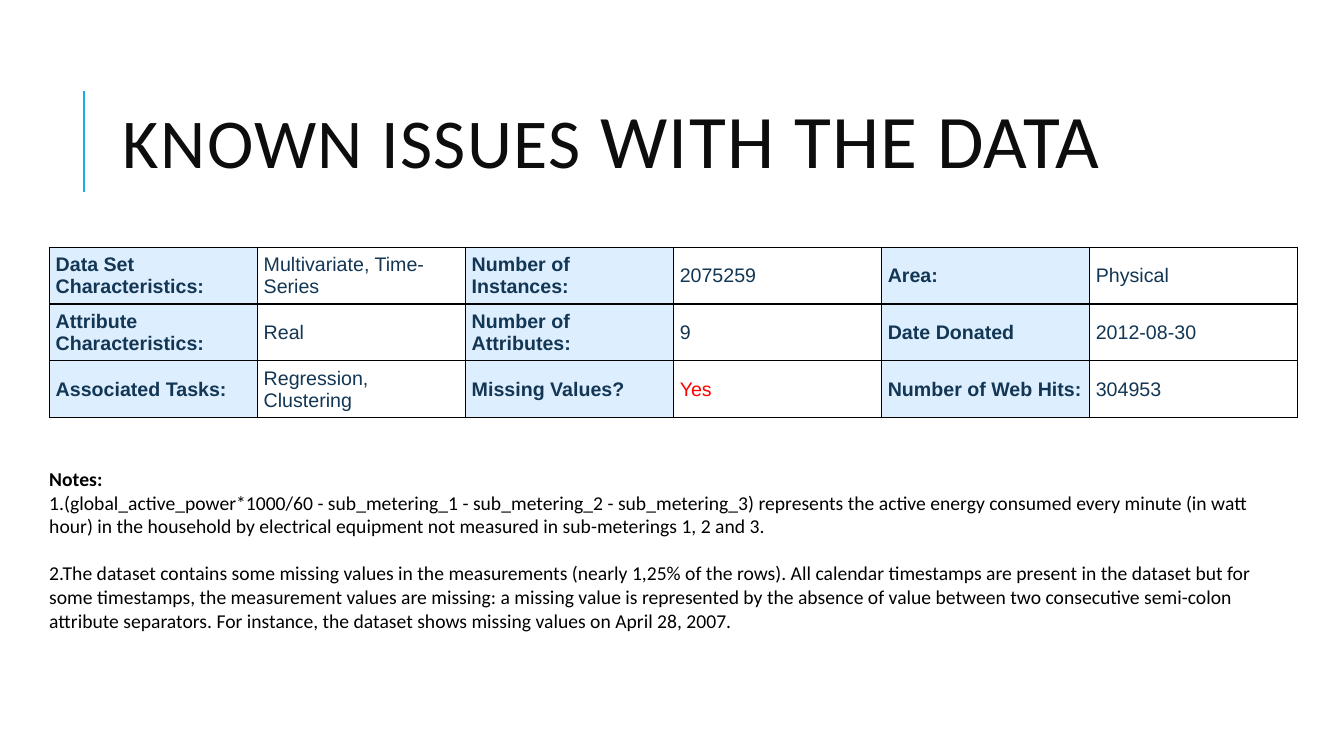
from dataclasses import dataclass

from lxml import etree
from pptx import Presentation
from pptx.dml.color import RGBColor
from pptx.enum.shapes import MSO_CONNECTOR
from pptx.enum.text import MSO_ANCHOR, MSO_AUTO_SIZE, PP_ALIGN
from pptx.oxml.ns import qn
from pptx.util import Pt

STRAIGHT = MSO_CONNECTOR.STRAIGHT
MIDDLE = MSO_ANCHOR.MIDDLE
NO_AUTOFIT = MSO_AUTO_SIZE.NONE
LEFT = PP_ALIGN.LEFT
TITLE_ONLY = 5


@dataclass(frozen=True)
class Theme:
    font: str = "Calibri"
    table_font: str = "Arial"
    title_color: str = "0D0D0D"
    accent: str = "1CADE4"
    ink: str = "000000"
    table_ink: str = "123654"
    alert: str = "FF0000"
    label_fill: str = "DDEEFF"
    title_size: float = 50
    title_large: float = 54
    body_size: float = 14


class SlideBuilder:
    def __init__(self, slide, theme):
        self.slide = slide
        self.theme = theme

    def span(self, para, text, font, size, color, bold=False):
        span = para.add_run()
        span.text = text
        span.font.name = font
        span.font.size = Pt(size)
        span.font.bold = bold
        span.font.color.rgb = RGBColor.from_string(color)
        return span

    def title(self, parts, left, top, width, height):
        """Fill the title placeholder from (text, size) parts."""
        box = self.slide.shapes.title
        box.left, box.top, box.width, box.height = map(Pt, (left, top, width, height))
        frame = box.text_frame
        frame.word_wrap = True
        frame.auto_size = NO_AUTOFIT
        frame.vertical_anchor = MIDDLE
        para = frame.paragraphs[0]
        para.alignment = LEFT
        para.line_spacing = 0.8
        for text, size in parts:
            span = self.span(para, text, self.theme.font, size, self.theme.title_color)
            span.font._element.set("spc", "100")

    def rule(self, x1, y1, x2, y2):
        line = self.slide.shapes.add_connector(STRAIGHT, Pt(x1), Pt(y1), Pt(x2), Pt(y2))
        line.line.color.rgb = RGBColor.from_string(self.theme.accent)
        line.line.width = Pt(1.5)
        etree.SubElement(line._element.spPr, qn("a:effectLst"))

    def cell_borders(self, cell):
        properties = cell._tc.get_or_add_tcPr()
        for side in ("L", "R", "T", "B"):
            border = etree.SubElement(properties, qn(f"a:ln{side}"), w=str(Pt(1)))
            fill = etree.SubElement(border, qn("a:solidFill"))
            etree.SubElement(fill, qn("a:srgbClr"), val=self.theme.ink)

    def table(self, rows, alerts, left, top, column_width, row_height):
        """Draw rows whose even columns are labels and odd columns are values."""
        theme = self.theme
        columns = len(rows[0])
        table = self.slide.shapes.add_table(
            len(rows), columns, Pt(left), Pt(top),
            Pt(column_width * columns), Pt(row_height * len(rows))).table
        for column in table.columns:
            column.width = Pt(column_width)
        for row, texts in zip(table.rows, rows):
            row.height = Pt(row_height)
            for index, (cell, text) in enumerate(zip(row.cells, texts)):
                is_label = index % 2 == 0
                cell.margin_left = cell.margin_right = Pt(4.5)
                cell.margin_top = cell.margin_bottom = Pt(4.5)
                cell.vertical_anchor = MIDDLE
                self.cell_borders(cell)
                if is_label:
                    cell.fill.solid()
                    cell.fill.fore_color.rgb = RGBColor.from_string(theme.label_fill)
                else:
                    cell.fill.background()
                color = theme.alert if text in alerts else theme.table_ink
                self.span(cell.text_frame.paragraphs[0], text, theme.table_font,
                          theme.body_size, color, is_label)

    def text_block(self, heading, remarks, left, top, width, height, gap):
        """Write a bold heading and its remarks, with a gap between the remarks."""
        theme = self.theme
        box = self.slide.shapes.add_textbox(Pt(left), Pt(top), Pt(width), Pt(height))
        frame = box.text_frame
        frame.word_wrap = True
        self.span(frame.paragraphs[0], heading, theme.font, theme.body_size, theme.ink, True)
        for index, remark in enumerate(remarks):
            para = frame.add_paragraph()
            para.space_before = Pt(gap if index else 0)
            self.span(para, remark, theme.font, theme.body_size, theme.ink)


DATASET_FACTS = [
    ["Data Set Characteristics:", "Multivariate, Time-Series",
     "Number of Instances:", "2075259", "Area:", "Physical"],
    ["Attribute Characteristics:", "Real",
     "Number of Attributes:", "9", "Date Donated", "2012-08-30"],
    ["Associated Tasks:", "Regression, Clustering",
     "Missing Values?", "Yes", "Number of Web Hits:", "304953"],
]
REMARKS = [
    "1.(global_active_power*1000/60 - sub_metering_1 - sub_metering_2 - sub_metering_3) "
    "represents the active energy consumed every minute (in watt hour) in the household "
    "by electrical equipment not measured in sub-meterings 1, 2 and 3.",
    "2.The dataset contains some missing values in the measurements (nearly 1,25% of the "
    "rows). All calendar timestamps are present in the dataset but for some timestamps, "
    "the measurement values are missing: a missing value is represented by the absence of "
    "value between two consecutive semi-colon attribute separators. For instance, the "
    "dataset shows missing values on April 28, 2007.",
]


def main():
    deck = Presentation()
    deck.slide_width, deck.slide_height = Pt(960), Pt(540)
    theme = Theme()
    page = SlideBuilder(deck.slides.add_slide(deck.slide_layouts[TITLE_ONLY]), theme)
    page.rule(60, 137, 60, 65)
    page.title([("KNOWN ISSUES ", theme.title_size), ("WITH THE DATA", theme.title_large)],
               80.6, 46, 765.4, 118)
    page.table(DATASET_FACTS, {"Yes"}, 35.3, 176.6, 148.6, 40.6)
    page.text_block("Notes:", REMARKS, 28.1, 330, 901.4, 126, 17)
    deck.save("out.pptx")


if __name__ == "__main__":
    main()
